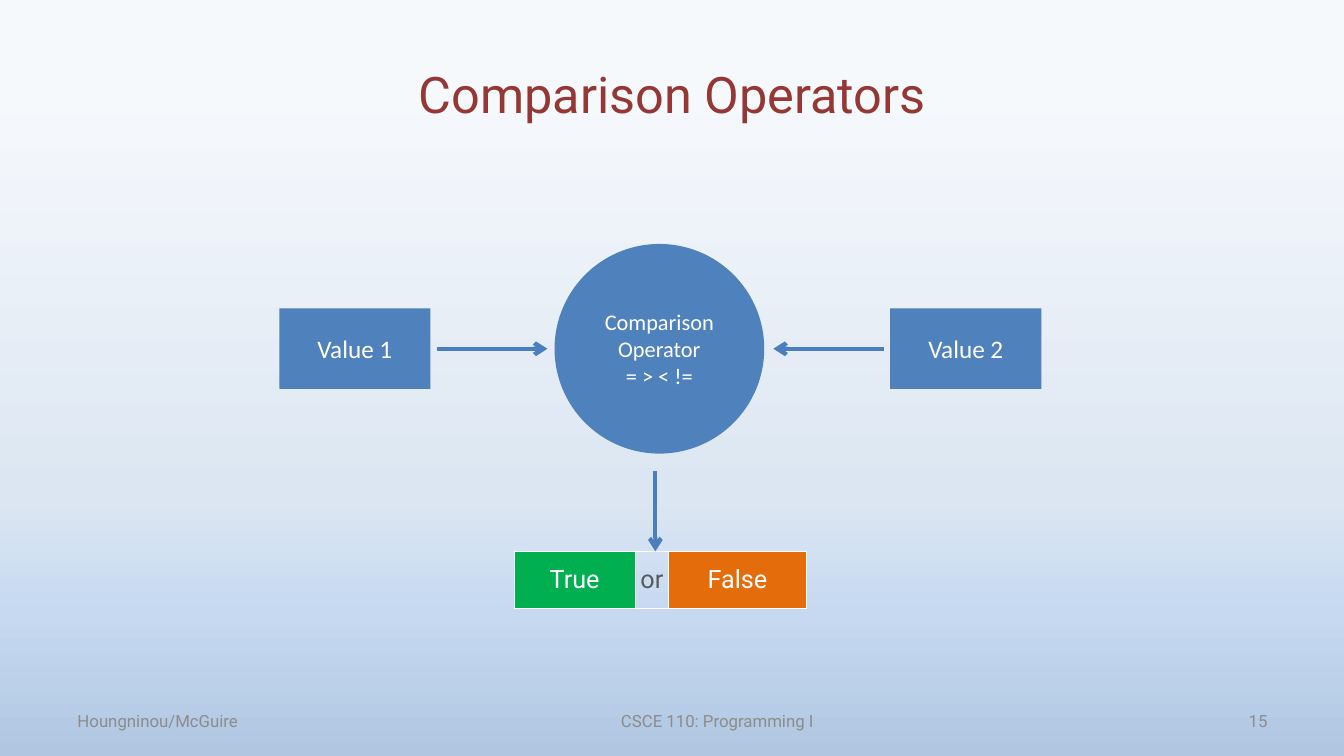
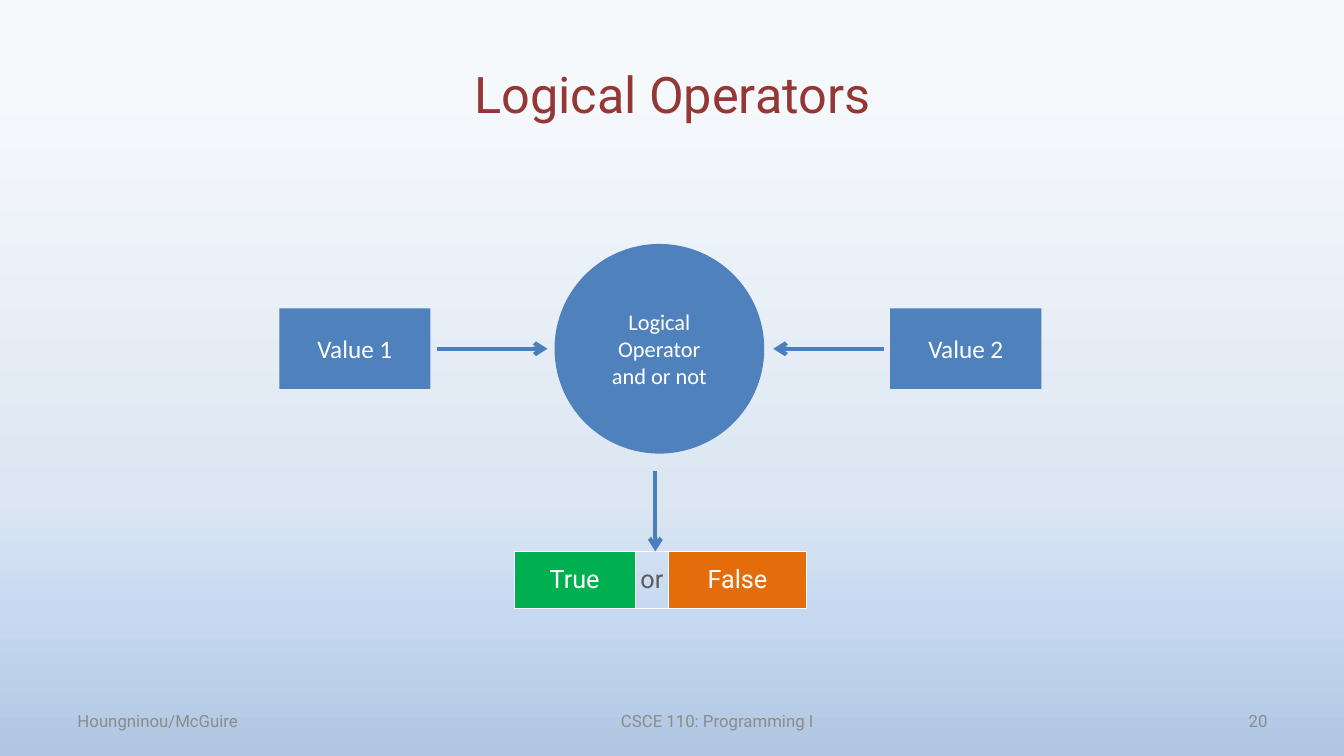
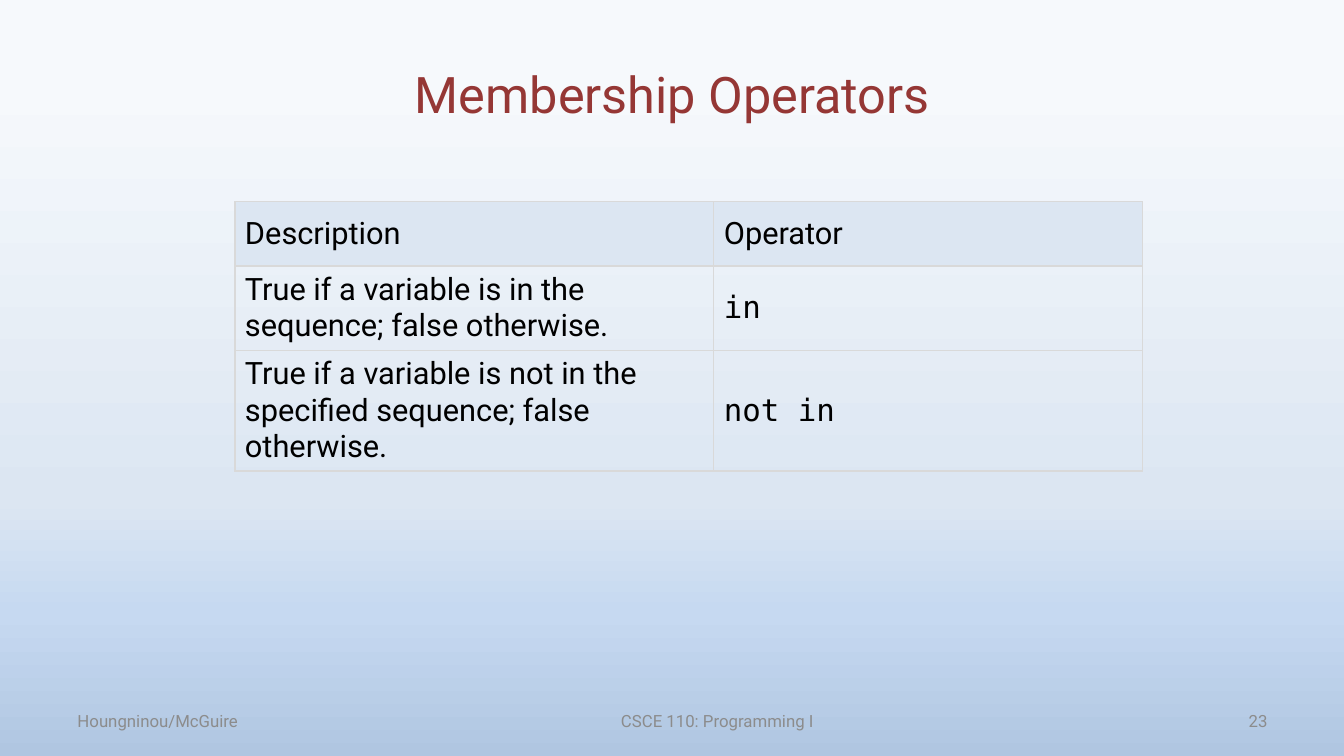
"""Build three slides on comparison, logical and membership operators."""
from dataclasses import dataclass
from typing import NamedTuple

from lxml.etree import SubElement
from pptx import Presentation
from pptx.dml.color import RGBColor
from pptx.enum.shapes import MSO_CONNECTOR as Connector, MSO_SHAPE as Shape
from pptx.enum.text import MSO_ANCHOR as Anchor, PP_ALIGN as Align
from pptx.oxml.ns import qn
from pptx.slide import Slide, SlideMaster
from pptx.text.text import TextFrame
from pptx.util import Inches, Pt


@dataclass(frozen=True)
class Theme:
    title: str = "953735"
    footer: str = "8C8C8C"
    node: str = "4F81BD"
    arrow: str = "4B7EBC"
    true: str = "00B050"
    false: str = "E46C0A"
    muted: str = "595959"
    white: str = "FFFFFF"
    black: str = "000000"
    header: str = "DCE6F2"
    grid: str = "D9D9D9"
    gradient: tuple[tuple[int, str], ...] = (
        (11, "F6F9FC"), (66, "DCE6F2"), (81, "C6D9F1"), (100, "B0C6E1"))
    font: str = "Roboto"
    node_font: str = "Calibri"
    code_font: str = "DejaVu Sans Mono"
    title_size: int = 36
    table_size: int = 22
    body_size: int = 18
    operator_size: int = 16
    footer_size: int = 12


THEME = Theme()


class Box(NamedTuple):
    left: float
    top: float
    width: float
    height: float

    def lengths(self) -> list[int]:
        return [Inches(side) for side in self]


class Arrow(NamedTuple):
    start: tuple[float, float]
    end: tuple[float, float]


class Node(NamedTuple):
    text: str
    box: Box
    outline: Shape = Shape.RECTANGLE
    size: int = THEME.body_size


class Entry(NamedTuple):
    text: str
    fill: str | None = None
    colour: str = THEME.black
    font: str = THEME.font


@dataclass(frozen=True)
class Grid:
    box: Box
    columns: tuple[float, ...]
    rows: list[list[Entry]]
    border: str
    size: int
    align: Align = Align.LEFT
    margins: tuple[float, float] = (0.1, 0.05)


AXIS_X, AXIS_Y = 6.55, 3.46
NODE_WIDTH, NODE_HEIGHT, NODE_REACH = 1.5, 0.8, 3.78
TITLE_BOX = Box(0.67, 0.3, 12, 1.25)
OPERATOR_BOX = Box(5.5, 2.42, 2.08, 2.08)
FOOTER_TOP, FOOTER_HEIGHT = 6.95, 0.4

VALUES = [
    Node(text, Box(left, AXIS_Y - NODE_HEIGHT / 2, NODE_WIDTH, NODE_HEIGHT))
    for text, left in (("Value 1", AXIS_X - NODE_REACH),
                       ("Value 2", AXIS_X + NODE_REACH - NODE_WIDTH))
]
ARROWS = [
    *(Arrow((AXIS_X + side * 2.22, AXIS_Y), (AXIS_X + side * 1.12, AXIS_Y))
      for side in (-1, 1)),
    Arrow((6.5, 4.67), (6.5, 5.47)),
]
OUTCOME = Grid(
    Box(5.1, 5.47, 2.9, 0.57), (1.2, 0.33, 1.37),
    [[Entry("True", THEME.true, THEME.white),
      Entry("or", None, THEME.muted),
      Entry("False", THEME.false, THEME.white)]],
    THEME.white, THEME.body_size, Align.CENTER, (0, 0))
MEMBERSHIP = Grid(
    Box(2.33, 2, 9, 1.92), (4.75, 4.25),
    [[Entry("Description", THEME.header), Entry("Operator", THEME.header)],
     *([Entry(meaning), Entry(operator, font=THEME.code_font)]
       for meaning, operator in (
           ("True if a variable is in the sequence; false otherwise.", "in"),
           ("True if a variable is not in the specified sequence; "
            "false otherwise.", "not in")))],
    THEME.grid, THEME.table_size)


def write(frame: TextFrame, text: str, *, size: int, colour: str,
          font: str = THEME.font, align: Align = Align.LEFT) -> None:
    """Fill a text frame, one paragraph per line of text."""
    frame.word_wrap = True
    for index, line in enumerate(text.split("\n")):
        paragraph = frame.add_paragraph() if index else frame.paragraphs[0]
        paragraph.alignment = align
        run = paragraph.add_run()
        run.text = line
        run.font.size = Pt(size)
        run.font.name = font
        run.font.color.rgb = RGBColor.from_string(colour)


def add_label(slide: Slide, text: str, box: Box, size: int, colour: str,
              align: Align) -> None:
    """Add a vertically centred text box."""
    frame = slide.shapes.add_textbox(*box.lengths()).text_frame
    frame.vertical_anchor = Anchor.MIDDLE
    write(frame, text, size=size, colour=colour, align=align)


def add_node(slide: Slide, node: Node) -> None:
    """Add a filled shape of the operator diagram."""
    shape = slide.shapes.add_shape(node.outline, *node.box.lengths())
    shape.shadow.inherit = False
    shape.fill.solid()
    shape.fill.fore_color.rgb = RGBColor.from_string(THEME.node)
    shape.line.fill.background()
    shape.text_frame.vertical_anchor = Anchor.MIDDLE
    write(shape.text_frame, node.text, size=node.size, colour=THEME.white,
          font=THEME.node_font, align=Align.CENTER)


def add_arrow(slide: Slide, arrow: Arrow) -> None:
    """Add a straight arrow with its head at the end point."""
    ends = [Inches(value) for point in arrow for value in point]
    connector = slide.shapes.add_connector(Connector.STRAIGHT, *ends)
    connector.line.width = Pt(3)
    connector.line.color.rgb = RGBColor.from_string(THEME.arrow)
    line = connector.line._get_or_add_ln()
    SubElement(line, qn("a:tailEnd"), type="arrow")
    SubElement(connector.element.spPr, qn("a:effectLst"))


def add_grid(slide: Slide, grid: Grid) -> None:
    """Add a bordered table without a banded style."""
    graphic = slide.shapes.add_table(
        len(grid.rows), len(grid.columns), *grid.box.lengths())
    table = graphic.table
    table.first_row = table.horz_banding = False
    for style in graphic.element.iter(qn("a:tableStyleId")):
        style.text = "{2D5ABB26-0587-4C30-8999-92F81FD0307C}"
    for column, width in zip(table.columns, grid.columns):
        column.width = Inches(width)
    side, edge = (Inches(margin) for margin in grid.margins)
    for row, entries in zip(table.rows, grid.rows):
        for cell, entry in zip(row.cells, entries):
            cell.vertical_anchor = Anchor.MIDDLE
            cell.margin_left = cell.margin_right = side
            cell.margin_top = cell.margin_bottom = edge
            if entry.fill:
                cell.fill.solid()
                cell.fill.fore_color.rgb = RGBColor.from_string(entry.fill)
            else:
                cell.fill.background()
            properties = cell._tc.get_or_add_tcPr()
            for index, name in enumerate(("lnL", "lnR", "lnT", "lnB")):
                border = SubElement(properties, qn(f"a:{name}"), w=str(Pt(1)))
                colour = SubElement(border, qn("a:solidFill"))
                SubElement(colour, qn("a:srgbClr"), val=grid.border)
                properties.insert(index, border)
            write(cell.text_frame, entry.text, size=grid.size,
                  colour=entry.colour, font=entry.font, align=grid.align)


def paint_background(master: SlideMaster) -> None:
    """Give every slide the shared vertical gradient."""
    fill = master.background.fill
    fill.gradient()
    fill.gradient_angle = 270
    stops = next(master.element.iter(qn("a:gsLst")))
    for stop in list(stops):
        stops.remove(stop)
    for position, colour in THEME.gradient:
        stop = SubElement(stops, qn("a:gs"), pos=str(position * 1000))
        SubElement(stop, qn("a:srgbClr"), val=colour)


def add_page(deck: Presentation, title: str, number: int) -> Slide:
    """Add a blank slide with the shared title and footers."""
    slide = deck.slides.add_slide(deck.slide_layouts[6])
    add_label(slide, title, TITLE_BOX, THEME.title_size, THEME.title,
              Align.CENTER)
    for text, left, width, align in (
            ("Houngninou/McGuire", 0.67, 3.11, Align.LEFT),
            ("CSCE 110: Programming I", 4.56, 5.11, Align.CENTER),
            (str(number), 9.56, 3.11, Align.RIGHT)):
        add_label(slide, text, Box(left, FOOTER_TOP, width, FOOTER_HEIGHT),
                  THEME.footer_size, THEME.footer, align)
    return slide


def add_diagram(slide: Slide, operator: str) -> None:
    """Show two values meeting in an operator that yields true or false."""
    add_grid(slide, OUTCOME)
    centre = Node(operator, OPERATOR_BOX, Shape.OVAL, THEME.operator_size)
    for node in (centre, *VALUES):
        add_node(slide, node)
    for arrow in ARROWS:
        add_arrow(slide, arrow)


def main() -> None:
    """Build and save the presentation."""
    deck = Presentation()
    deck.slide_width, deck.slide_height = Inches(13.33), Inches(7.5)
    paint_background(deck.slide_master)
    for title, number, operator in (
            ("Comparison Operators", 15, "Comparison\nOperator\n= > < !="),
            ("Logical Operators", 20, "Logical\nOperator\nand or not")):
        add_diagram(add_page(deck, title, number), operator)
    add_grid(add_page(deck, "Membership Operators", 23), MEMBERSHIP)
    deck.save("out.pptx")


if __name__ == "__main__":
    main()
